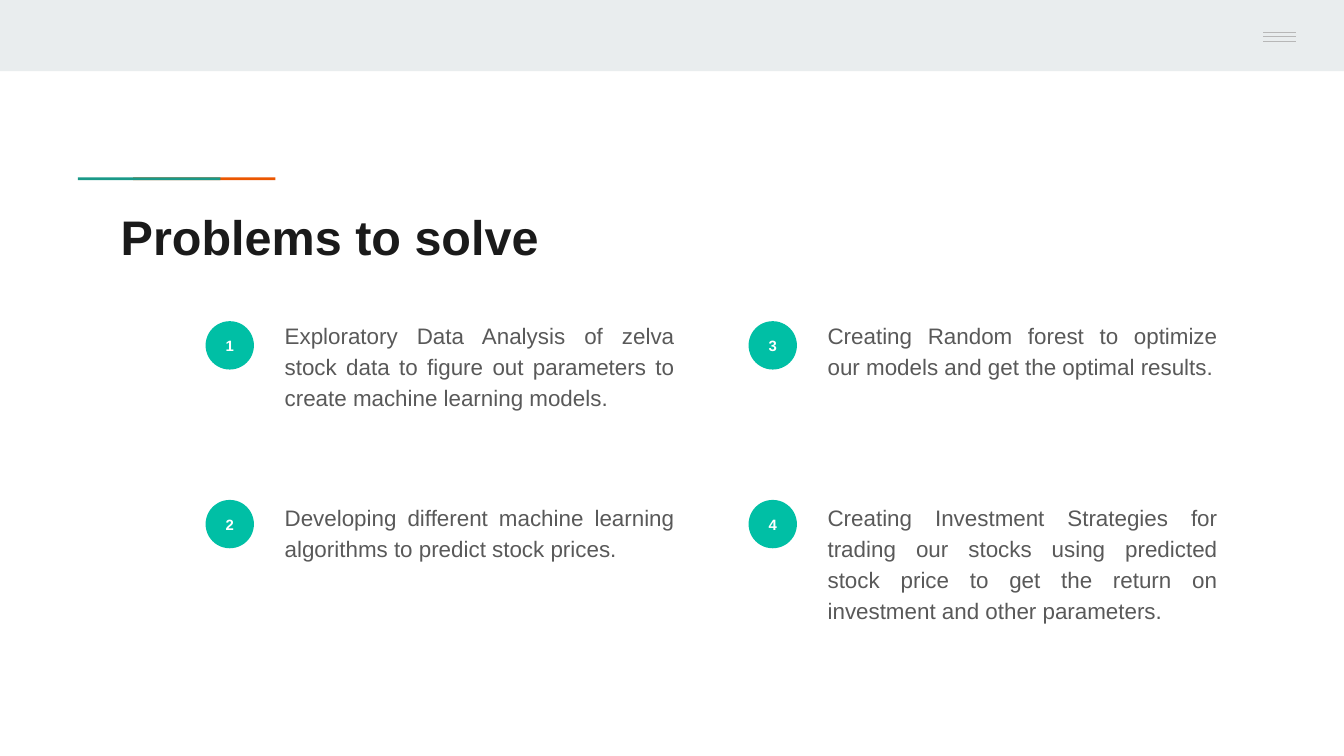
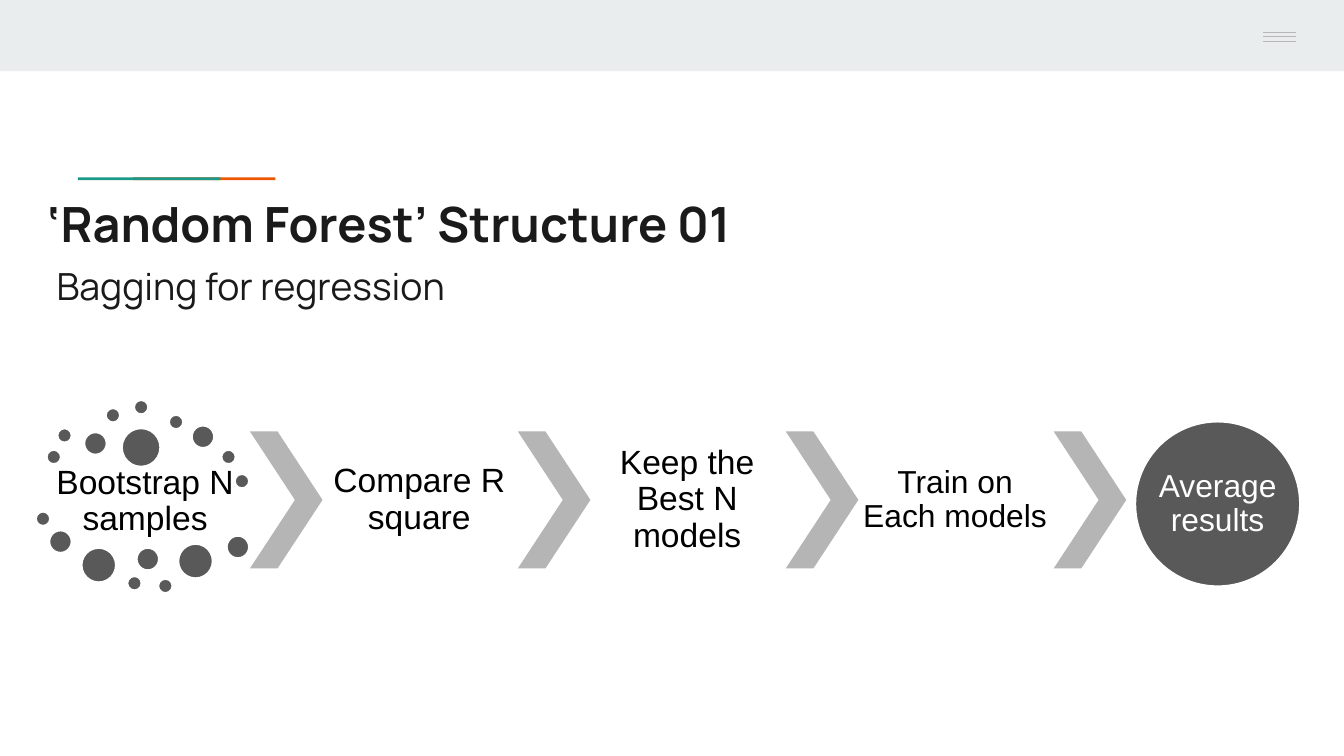
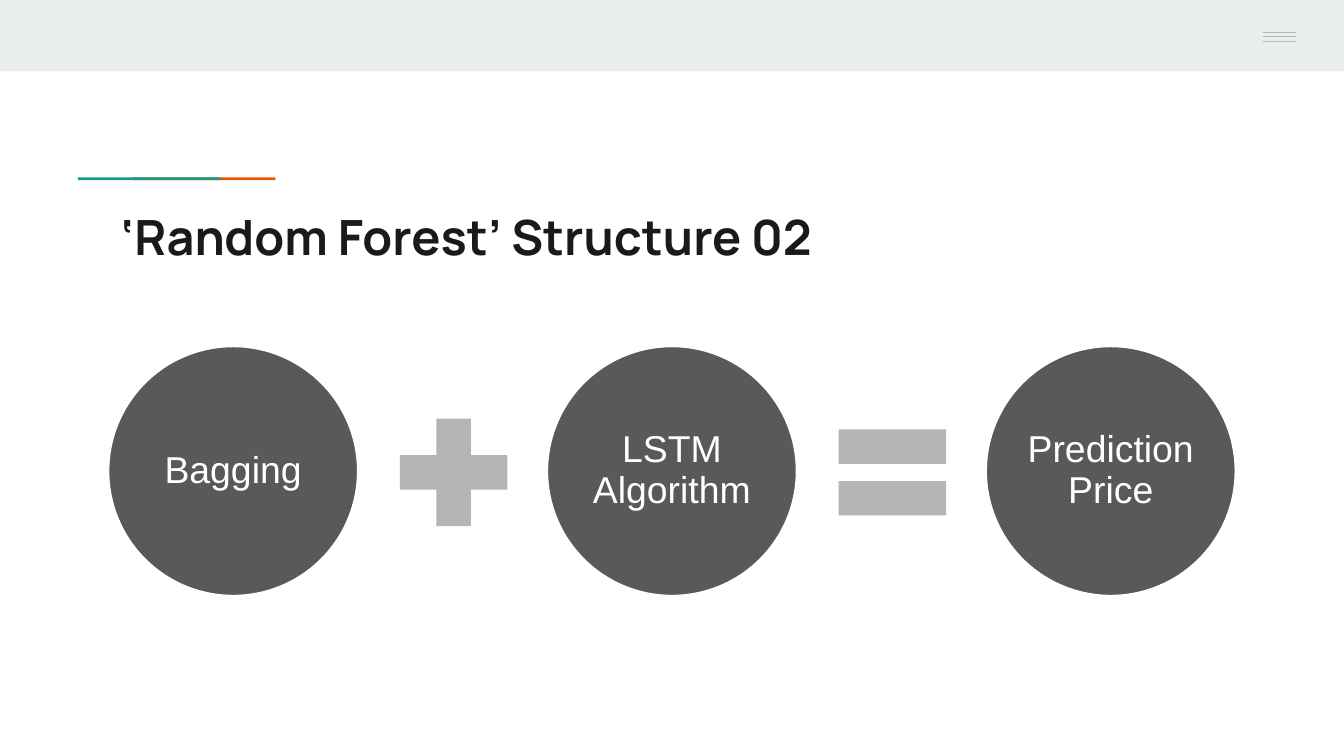
from pptx import Presentation
from pptx.dml.color import RGBColor
from pptx.enum.shapes import MSO_CONNECTOR, MSO_SHAPE
from pptx.enum.text import MSO_ANCHOR, PP_ALIGN
from pptx.oxml.ns import qn
from pptx.util import Inches, Pt
from lxml import etree

RECTANGLE, OVAL, CHEVRON = MSO_SHAPE.RECTANGLE, MSO_SHAPE.OVAL, MSO_SHAPE.CHEVRON
PLUS, EQUAL = MSO_SHAPE.MATH_PLUS, MSO_SHAPE.MATH_EQUAL
STRAIGHT = MSO_CONNECTOR.STRAIGHT
TOP, MIDDLE = MSO_ANCHOR.TOP, MSO_ANCHOR.MIDDLE
LEFT, CENTER, JUSTIFY = PP_ALIGN.LEFT, PP_ALIGN.CENTER, PP_ALIGN.JUSTIFY

BODY_FONT, TITLE_FONT = "Arial", "Manrope"
COLORS = {
    "band": "E9EDEE",
    "orange": "EB5600",
    "green": "1A9988",
    "menu": "B7B7B7",
    "title": "1A1A1A",
    "bubble": "00BFA5",
    "body": "595959",
    "disc": "595959",
    "operator": "B5B5B5",
    "black": "000000",
    "white": "FFFFFF",
}

PROBLEMS = [
    "Exploratory Data Analysis of zelva stock data to figure out parameters "
    "to create machine learning models.",
    "Developing different machine learning algorithms to predict stock prices.",
    "Creating Random forest to optimize our models and get the optimal results.",
    "Creating Investment Strategies for trading our stocks using predicted stock "
    "price to get the return on investment and other parameters.",
]

# Left, top and diameter of each dot around the first step
SAMPLE_DOTS = [
    (0.34, 3.34, 0.12), (0.42, 3.18, 0.12), (0.62, 3.21, 0.18),
    (0.78, 3.03, 0.12), (0.99, 2.97, 0.12), (1.25, 3.08, 0.12),
    (1.42, 3.16, 0.18), (1.64, 3.34, 0.12), (1.74, 3.52, 0.12),
    (0.9, 3.18, 0.3), (0.26, 3.8, 0.12), (0.36, 3.94, 0.18),
    (0.6, 4.07, 0.27), (0.94, 4.28, 0.12), (1.01, 4.07, 0.18),
    (1.17, 4.3, 0.12), (1.32, 4.04, 0.27), (1.68, 3.98, 0.18),
]


def rgb(color):
    return RGBColor.from_string(COLORS[color])


def style_font(font, size, color, name=BODY_FONT, bold=False):
    font.name, font.size, font.bold = name, Pt(size), bold
    font.color.rgb = rgb(color)


def set_frame(frame, inset, anchor):
    frame.word_wrap = True
    frame.vertical_anchor = anchor
    frame.margin_left = frame.margin_right = Inches(inset)
    frame.margin_top = frame.margin_bottom = Inches(inset)


def write(frame, text, size, color, align, spacing=0.9, inset=0.03,
          anchor=MIDDLE, bold=False):
    set_frame(frame, inset, anchor)
    paragraph = frame.paragraphs[0]
    paragraph.text = text
    paragraph.alignment = align
    paragraph.line_spacing = spacing
    style_font(paragraph.font, size, color, bold=bold)


def add_text_box(slide, left, top, width, height):
    return slide.shapes.add_textbox(
        Inches(left), Inches(top), Inches(width), Inches(height)).text_frame


def add_filled(slide, kind, left, top, width, height, color):
    shape = slide.shapes.add_shape(
        kind, Inches(left), Inches(top), Inches(width), Inches(height))
    shape.shadow.inherit = False
    shape.fill.solid()
    shape.fill.fore_color.rgb = rgb(color)
    shape.line.fill.background()
    return shape


def add_disc(slide, left, top, diameter):
    """Add a grey circle with a white outline."""
    disc = add_filled(slide, OVAL, left, top, diameter, diameter, "disc")
    disc.line.color.rgb = rgb("white")
    disc.line.width = Pt(2)


def add_labelled_disc(slide, left, top, diameter, label_width, label, size, inset):
    """Add a disc with a square label box centred on it."""
    add_disc(slide, left, top, diameter)
    margin = (diameter - label_width) / 2
    frame = add_text_box(slide, left + margin, top + margin, label_width, label_width)
    write(frame, label, size, "white", CENTER, inset=inset)


def add_menu_line(slide, y):
    line = slide.shapes.add_connector(
        STRAIGHT, Inches(9.4), Inches(y), Inches(9.64), Inches(y))
    line.line.color.rgb = rgb("menu")
    line.line.width = Pt(0.75)
    etree.SubElement(line._element.spPr, qn("a:effectLst"))


def new_slide(prs):
    """Add a blank slide with the top band, menu icon and accent rule."""
    slide = prs.slides.add_slide(prs.slide_layouts[6])
    add_filled(slide, RECTANGLE, 0, 0, 10, 0.53, "band")
    for left, color in ((0.99, "orange"), (0.58, "green")):
        add_filled(slide, RECTANGLE, left, 1.32, 1.06, 0.02, color)
    add_filled(slide, RECTANGLE, 9.06, 0, 0.94, 0.5, "band")
    for y in (0.24, 0.27, 0.31):
        add_menu_line(slide, y)
    return slide


def add_title(slide, title, left=0.8, top=1.44, width=8.41, height=0.59,
              font=TITLE_FONT):
    frame = add_text_box(slide, left, top, width, height)
    set_frame(frame, 0.1, TOP)
    paragraph = frame.paragraphs[0]
    paragraph.alignment = LEFT
    style_font(paragraph.font, 26, "title", font, bold=True)
    paragraph.add_run().text = title
    return paragraph


def add_subtitle(title, subtitle):
    """Continue the title paragraph on a second, lighter line."""
    title.add_line_break()
    title.add_run().text = " "
    run = title.add_run()
    run.text = subtitle
    run.font.size, run.font.bold = Pt(20), False


def add_problem(slide, number, problem):
    column, row = divmod(number - 1, 2)
    left = 1.53 + 4.04 * column
    bubble = add_filled(slide, OVAL, left, 2.39 + 1.33 * row, 0.36, 0.36, "bubble")
    write(bubble.text_frame, str(number), 8, "white", CENTER, 1, 0, bold=True)
    frame = add_text_box(slide, left + 0.49, 2.27 + 1.35 * row, 3.1, 1.15)
    write(frame, problem, 12, "body", JUSTIFY, 1.15, 0.1, TOP)


def build_problems(prs):
    slide = new_slide(prs)
    add_title(slide, "Problems to solve", font=BODY_FONT)
    for number, problem in enumerate(PROBLEMS, 1):
        add_problem(slide, number, problem)


def build_bagging(prs):
    slide = new_slide(prs)
    title = add_title(slide, "‘Random Forest’ Structure 01", 0.25, 1.34, 8.74, 1.47)
    add_subtitle(title, "Bagging for regression")

    first_step = add_text_box(slide, 0.35, 3.49, 1.46, 0.48)
    write(first_step, "Bootstrap N samples", 18, "black", CENTER)
    for dot in SAMPLE_DOTS:
        add_disc(slide, *dot)

    pitch = (7.84 - 1.86) / 3
    for i in range(4):
        chevron = add_filled(slide, CHEVRON, 1.86 + pitch * i, 3.21, 0.54, 1.02,
                             "operator")
        chevron.adjustments[0] = 0.62
    later_steps = [("Compare R square", 18, 0.03),
                   ("Keep the Best N models", 18, 0.03),
                   ("Train on Each models", 17, 0.02)]
    for i, (step, size, inset) in enumerate(later_steps):
        frame = add_text_box(slide, 2.39 + pitch * i, 3.21, 1.46, 1.02)
        write(frame, step, size, "black", CENTER, inset=inset)

    add_labelled_disc(slide, 8.44, 3.13, 1.24, 0.88, "Average results", 17, 0)


def build_equation(prs):
    slide = new_slide(prs)
    add_title(slide, "‘Random Forest’ Structure 02")
    pitch = (7.33 - 0.8) / 2
    for i, term in enumerate(("Bagging", "LSTM Algorithm", "Prediction Price")):
        add_labelled_disc(slide, 0.8 + pitch * i, 2.57, 1.87, 1.33, term, 20, 0.03)
    for i, operator in enumerate((PLUS, EQUAL)):
        add_filled(slide, operator, 2.83 + pitch * i, 2.97, 1.09, 1.09, "operator")


def main():
    prs = Presentation()
    prs.slide_width = Inches(10)
    prs.slide_height = prs.slide_width * 9 // 16
    build_problems(prs)
    build_bagging(prs)
    build_equation(prs)
    prs.save("out.pptx")


if __name__ == "__main__":
    main()
